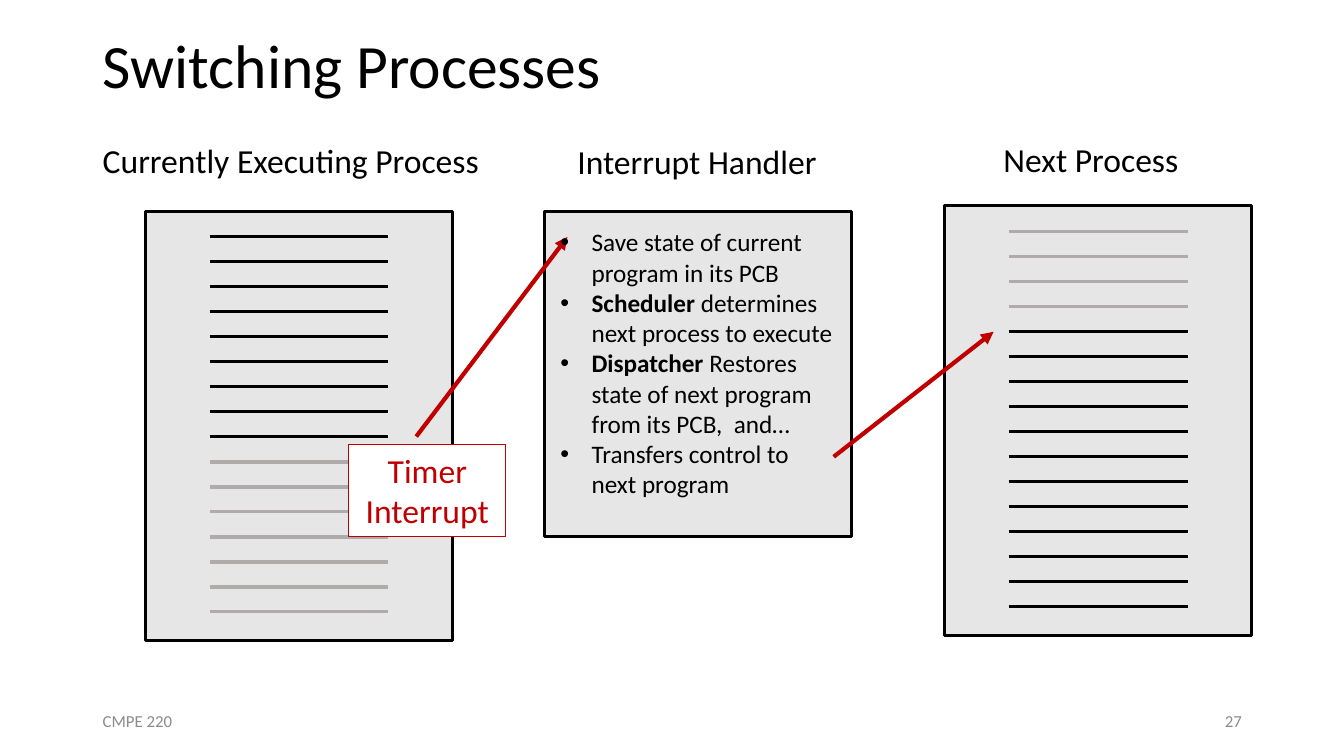
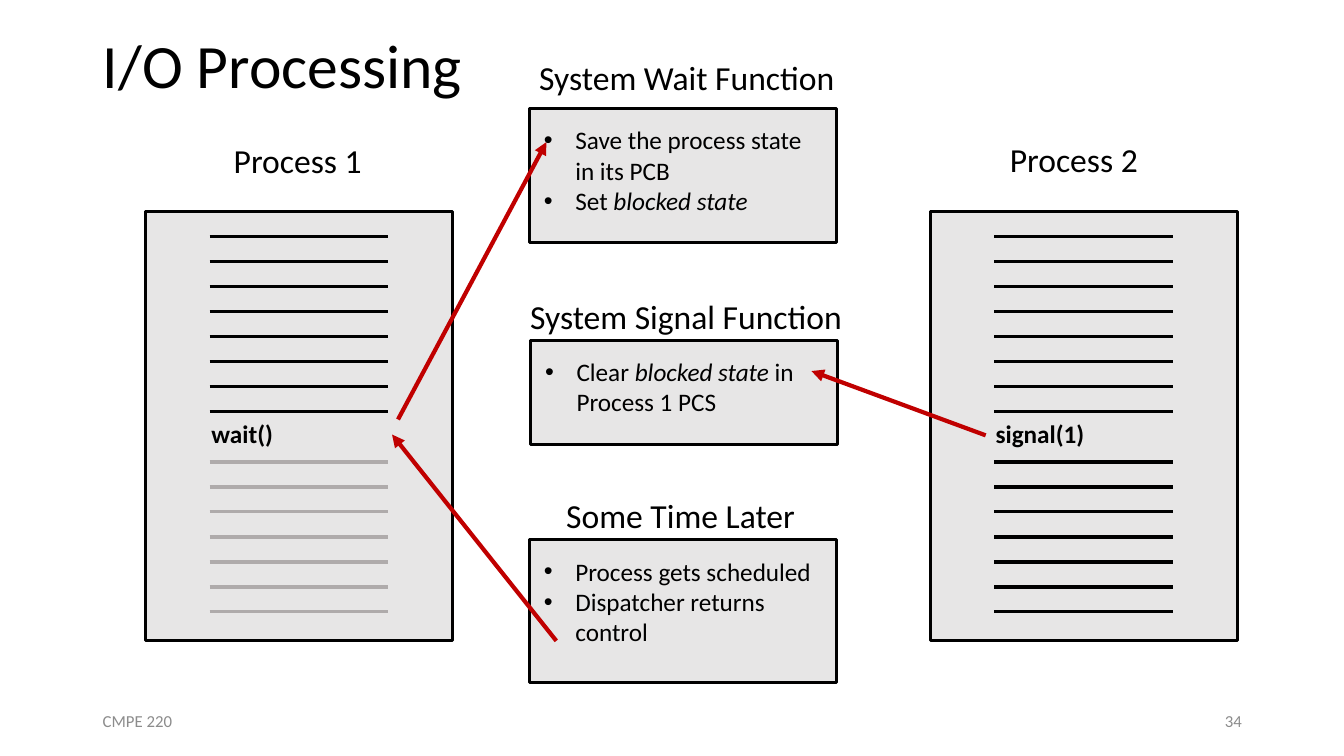
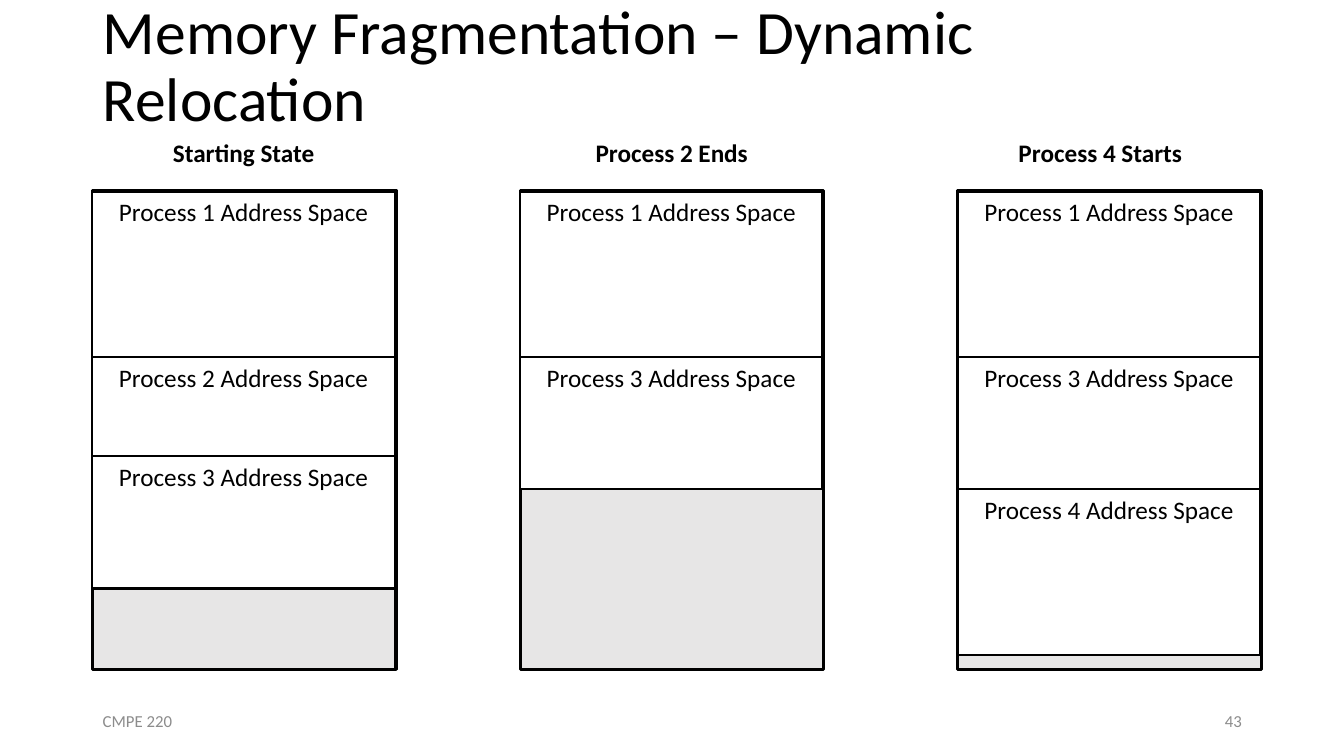
"""Builds three slides on process switching, I/O waits and memory use."""
import lxml.etree
import pptx
import pptx.dml.color
import pptx.enum.shapes
import pptx.enum.text
import pptx.oxml.ns
import pptx.util

Cm, Pt = pptx.util.Cm, pptx.util.Pt
Align = pptx.enum.text.PP_ALIGN
Anchor = pptx.enum.text.MSO_ANCHOR
qn = pptx.oxml.ns.qn

COLORS = {"ink": "000000", "panel": "E7E6E6", "faint": "AFABAB",
          "red": "C00000", "white": "FFFFFF", "foot": "8C8C8C"}
RGB = {name: pptx.dml.color.RGBColor.from_string(code) for name, code in COLORS.items()}

FONT = {"name": "Calibri", "bold": False, "italic": False}
STYLES = {
    "title": {"font": {"size": Pt(44)}, "para": {"line_spacing": 0.9},
              "frame": {"vertical_anchor": Anchor.MIDDLE}},
    "foot": {"font": {"size": Pt(12)}, "color": "foot",
             "frame": {"vertical_anchor": Anchor.MIDDLE}},
    "page": {"font": {"size": Pt(12)}, "color": "foot", "para": {"alignment": Align.RIGHT},
             "frame": {"vertical_anchor": Anchor.MIDDLE}},
    "head": {"font": {"size": Pt(24)}, "frame": {"word_wrap": False}},
    "code": {"font": {"size": Pt(18), "bold": True}, "frame": {"word_wrap": False}},
    "list": {"font": {"size": Pt(18)}, "bullet": True},
    "alert": {"font": {"size": Pt(24)}, "color": "red", "para": {"alignment": Align.CENTER}},
    "state": {"font": {"size": Pt(18), "bold": True}, "para": {"alignment": Align.CENTER}},
    "space": {"font": {"size": Pt(18)}, "para": {"alignment": Align.CENTER}},
}


def write(frame, lines, style, mark="bold"):
    """Fill a frame; words between bars get the mark."""
    look = STYLES[style]
    form = {"word_wrap": True, "vertical_anchor": Anchor.TOP,
            "auto_size": pptx.enum.text.MSO_AUTO_SIZE.NONE, **look.get("frame", {})}
    for key, value in form.items():
        setattr(frame, key, value)
    for row, line in enumerate(lines):
        para = frame.add_paragraph() if row else frame.paragraphs[0]
        for key, value in {"alignment": Align.LEFT, **look.get("para", {})}.items():
            setattr(para, key, value)
        if look.get("bullet"):
            props = para._p.get_or_add_pPr()
            props.set("marL", str(Cm(0.79)))
            props.set("indent", str(-Cm(0.79)))
            lxml.etree.SubElement(props, qn("a:buFont"), typeface="Arial")
            lxml.etree.SubElement(props, qn("a:buChar"), char="•")
        for part, words in enumerate(line.split("|")):
            if words:
                run = para.add_run()
                run.text = words
                for key, value in {**FONT, **look["font"]}.items():
                    setattr(run.font, key, value)
                if part % 2:
                    setattr(run.font, mark, True)
                run.font.color.rgb = RGB[look.get("color", "ink")]


def block(slide, spot, fill="panel", edge="ink", weight=2.25):
    """Add a filled box with an outline."""
    shape = slide.shapes.add_shape(pptx.enum.shapes.MSO_SHAPE.RECTANGLE, *map(Cm, spot))
    shape.shadow.inherit = False
    shape.fill.solid()
    shape.fill.fore_color.rgb = RGB[fill]
    shape.line.color.rgb = RGB[edge]
    shape.line.width = Pt(weight)
    return shape


deck = pptx.Presentation()
deck.slide_width, deck.slide_height = Cm(33.87), Cm(19.05)

slides = []
for title, page in [("Switching Processes", "27"), ("I/O Processing", "34"),
                    ("Memory Fragmentation – Dynamic Relocation", "43")]:
    slide = deck.slides.add_slide(deck.slide_layouts[5])
    slides.append(slide)
    spot = {"left": Cm(2.34), "top": Cm(0), "width": Cm(29.21), "height": Cm(3.43)}
    for key, value in spot.items():
        setattr(slide.shapes.title, key, value)
    write(slide.shapes.title.text_frame, [title], "title")
    for left, words, style in [(2.34, "CMPE 220", "foot"), (23.93, page, "page")]:
        foot = slide.shapes.add_textbox(Cm(left), Cm(17.65), Cm(7.62), Cm(1.02))
        write(foot.text_frame, [words], style)
switch, wait, memory = slides

strokes = []
for slide, left, top, shades in [
    (switch, 3.66, 5.33, ["ink"] * 9 + ["faint"] * 7),
    (switch, 23.8, 5.19, ["faint"] * 4 + ["ink"] * 12),
    (wait, 3.66, 5.33, ["ink"] * 8 + [None] + ["faint"] * 7),
    (wait, 23.44, 5.33, ["ink"] * 8 + [None] + ["ink"] * 7),
]:
    block(slide, (left, top, 7.75, 10.82))
    for row, shade in enumerate(shades):
        if shade:
            high = top + 0.64 + row * 0.63
            strokes.append((slide, (left + 1.62, high, left + 6.13, high), shade, 2.25))

for slide, left, top, height in [(switch, 13.72, 5.33, 8.2), (wait, 13.34, 2.74, 3.38),
                                 (wait, 13.36, 8.59, 2.62), (wait, 13.34, 13.59, 3.61)]:
    block(slide, (left, top, 7.75, height))

for slide, ends in [
    (switch, (10.49, 11, 14.3, 5.97)),
    (switch, (21.01, 11.51, 25.04, 8.36)),
    (wait, (10.03, 10.57, 13.77, 3.58)),
    (wait, (14.02, 16.15, 9.88, 10.95)),
    (wait, (24.84, 10.97, 20.45, 9.35)),
]:
    strokes.append((slide, ends, "red", 3))

for slide, ends, color, weight in strokes:
    stroke = slide.shapes.add_connector(
        pptx.enum.shapes.MSO_CONNECTOR.STRAIGHT, *map(Cm, ends))
    stroke.line.color.rgb = RGB[color]
    stroke.line.width = Pt(weight)
    props = stroke.element.spPr
    if color == "red":
        lxml.etree.SubElement(props.find(qn("a:ln")), qn("a:tailEnd"), type="triangle")
    lxml.etree.SubElement(props, qn("a:effectLst"))

timer = block(switch, (8.79, 11.2, 3.96, 2.31), "white", "red", 0.75)
write(timer.text_frame, ["Timer", "Interrupt"], "alert")

for slide, spot, style, lines in [
    (switch, (2.34, 3.4, 10.08, 1.27), "head", ["Currently Executing Process"]),
    (switch, (14.3, 3.43, 6.6, 1.27), "head", ["Interrupt Handler"]),
    (switch, (25.04, 3.38, 4.95, 1.27), "head", ["Next Process"]),
    (switch, (13.87, 5.59, 7.44, 7.19), "list", [
        "Save state of current program in its PCB",
        "|Scheduler| determines next process to execute",
        "|Dispatcher| Restores state of next program from its PCB,  and…",
        "Transfers control to next program"]),
    (wait, (5.64, 3.4, 3.76, 1.27), "head", ["Process 1"]),
    (wait, (13.34, 1.32, 7.92, 1.27), "head", ["System Wait Function"]),
    (wait, (13.11, 7.34, 8.43, 1.27), "head", ["System Signal Function"]),
    (wait, (14.02, 12.34, 6.32, 1.27), "head", ["Some Time Later"]),
    (wait, (25.2, 3.38, 3.76, 1.27), "head", ["Process 2"]),
    (wait, (5.08, 10.41, 2.08, 1.02), "code", ["wait()"]),
    (wait, (24.84, 10.41, 2.82, 1.02), "code", ["signal(1)"]),
    (wait, (13.46, 3.02, 7.52, 2.57), "list", [
        "Save the process state in its PCB", "Set |blocked state|"]),
    (wait, (13.49, 8.86, 7.52, 1.8), "list", ["Clear |blocked state |in Process 1 PCS"]),
    (wait, (13.46, 13.89, 7.52, 2.57), "list", [
        "Process gets scheduled", "Dispatcher returns control"]),
    (memory, (2.34, 3.33, 7.6, 1.02), "state", ["Starting State"]),
    (memory, (13.77, 3.33, 6.32, 1.02), "state", ["Process 2 Ends"]),
    (memory, (23.93, 3.33, 7.6, 1.02), "state", ["Process 4 Starts"]),
]:
    note = slide.shapes.add_textbox(*map(Cm, spot))
    write(note.text_frame, lines, style, "bold" if slide is switch else "italic")

for left, spaces in [(2.33, [(1, 4.17), (2, 2.5), (3, 3.33)]),
                     (13.11, [(1, 4.17), (3, 3.33)]),
                     (24.14, [(1, 4.17), (3, 3.33), (4, 4.17)])]:
    block(memory, (left, 4.8, 7.65, 12.07))
    top = 4.83
    for number, height in spaces:
        space = block(memory, (left, top, 7.62, height), "white", "ink", 1.5)
        write(space.text_frame, [f"Process {number} Address Space"], "space")
        top += height

deck.save("out.pptx")
